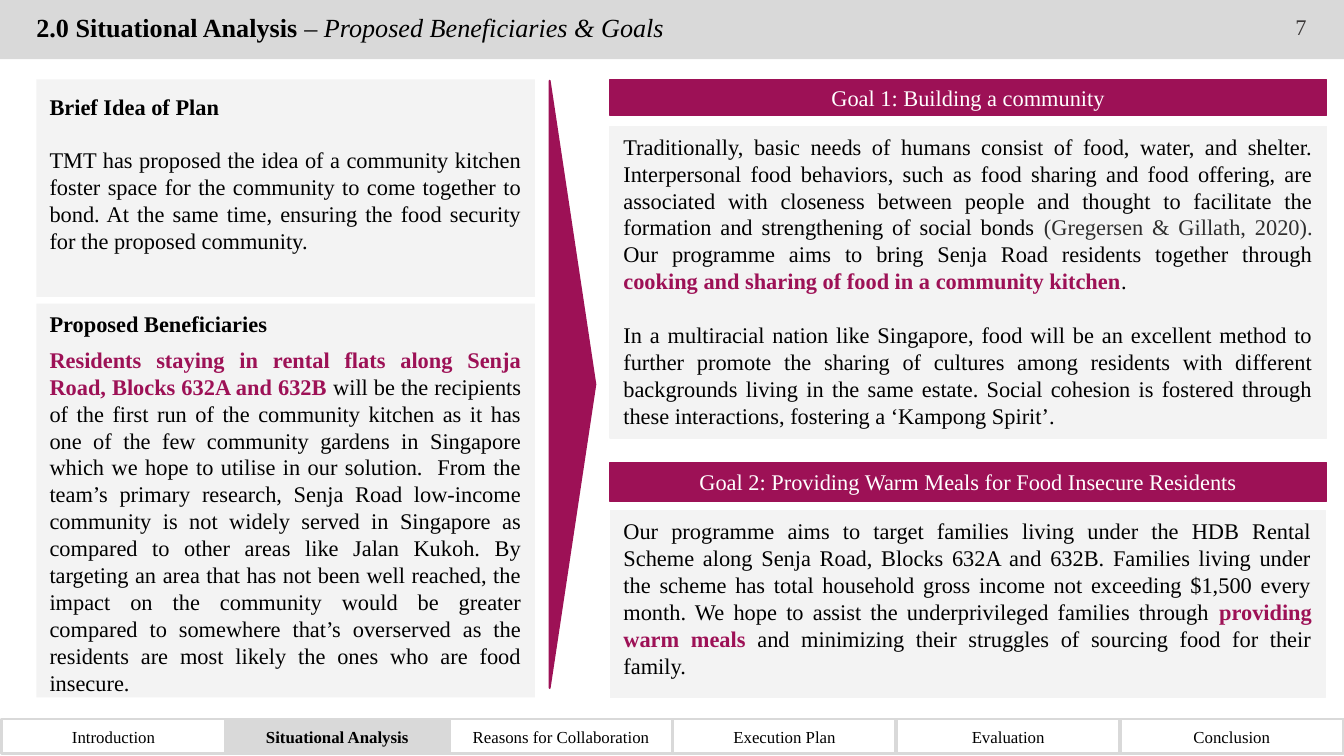
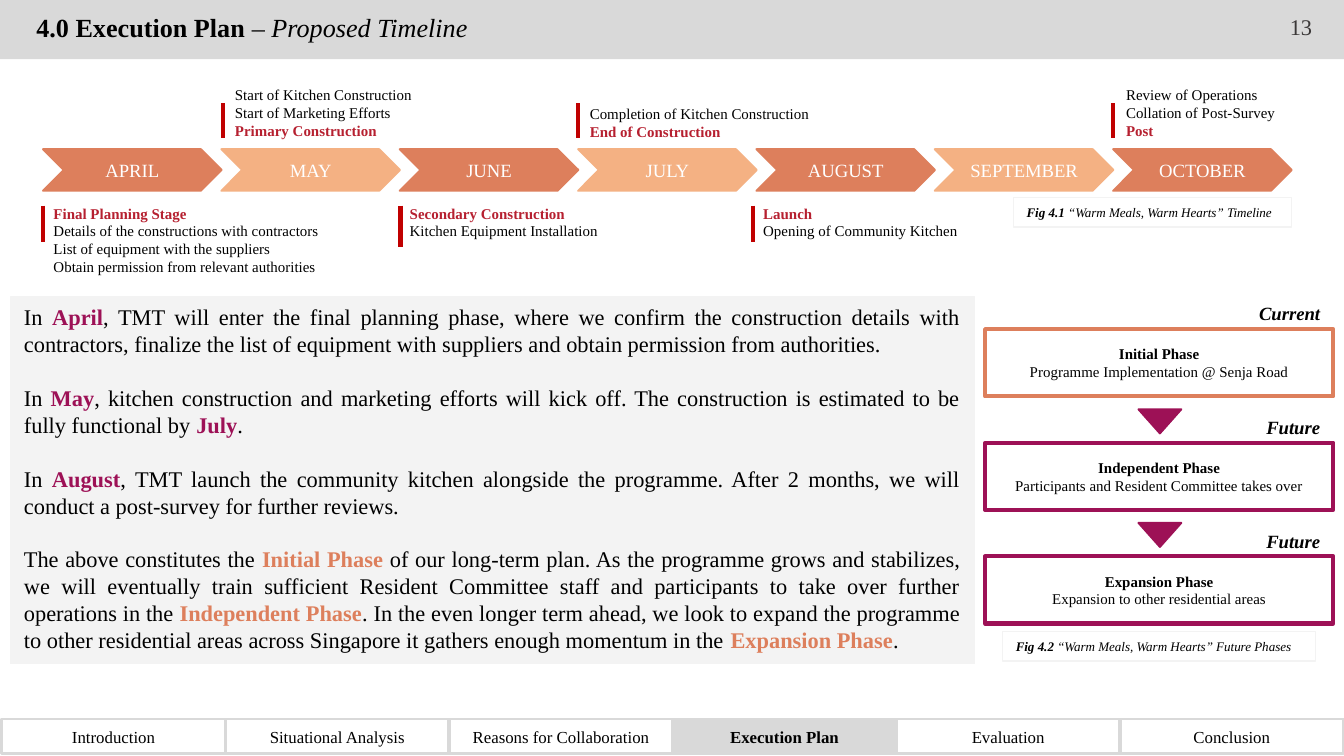
from dataclasses import dataclass
from typing import Any

from lxml.etree import SubElement
from pptx import Presentation
from pptx.dml.color import RGBColor
from pptx.enum.shapes import MSO_CONNECTOR, MSO_SHAPE
from pptx.enum.text import MSO_ANCHOR, MSO_AUTO_SIZE, PP_ALIGN
from pptx.oxml.ns import qn
from pptx.util import Inches, Pt

FONT = "Times New Roman"
INK, WHITE, GREY, PANEL = "000000", "FFFFFF", "D9D9D9", "F3F3F3"
PLUM, CORAL, PEACH = "9D1156", "DD7F5C", "F4B183"
RED, TICK, CITE, NUMBER = "B62030", "C00000", "2E2E2E", "3B3838"
LEFT, CENTER, RIGHT, JUSTIFY = PP_ALIGN.LEFT, PP_ALIGN.CENTER, PP_ALIGN.RIGHT, PP_ALIGN.JUSTIFY
TOP, MIDDLE = MSO_ANCHOR.TOP, MSO_ANCHOR.MIDDLE
COLS, ROWS = 100, 56.25
LINE_GAP = 14.4
SECTIONS = ["Introduction", "Situational Analysis", "Reasons for Collaboration",
            "Execution Plan", "Evaluation", "Conclusion"]


def rgb(value):
    """Turn a hex string into a colour."""
    return RGBColor.from_string(value)


def bold(text, color=INK):
    """Describe a bold run."""
    return text, "b", color


@dataclass
class Deck:
    """Hold the style, the grid and the current slide."""
    prs: Any
    s: Any = None

    def x(self, cols):
        """Convert grid columns to a length."""
        return round(self.prs.slide_width * cols / COLS)

    def y(self, rows):
        """Convert grid rows to a length."""
        return round(self.prs.slide_height * rows / ROWS)

    def area(self, at):
        """Convert left, top, width and height from the grid."""
        left, top, width, height = at
        return self.x(left), self.y(top), self.x(width), self.y(height)

    def fill_text(self, tf, paras, size, align=LEFT, anchor=TOP, color=INK, gap=0, inset=(1, 0.5)):
        """Fill a text frame with paragraphs made of styled runs."""
        tf.word_wrap = True
        tf.auto_size = MSO_AUTO_SIZE.NONE
        tf.vertical_anchor = anchor
        tf.margin_left = tf.margin_right = self.x(inset[0])
        tf.margin_top = tf.margin_bottom = self.y(inset[1])
        for i, runs in enumerate(paras):
            p = tf.add_paragraph() if i else tf.paragraphs[0]
            p.alignment = align
            p.space_before = Pt(gap if i else 0)
            for run in [runs] if isinstance(runs, (str, tuple)) else runs:
                text, style, hue = (run, "", color) if isinstance(run, str) else run
                r = p.add_run()
                r.text = text
                r.font.name, r.font.size = FONT, Pt(size)
                r.font.bold, r.font.italic = "b" in style, "i" in style
                r.font.color.rgb = rgb(hue)

    def shape(self, at, kind=MSO_SHAPE.RECTANGLE, fill=None, line=None, weight=0.75):
        """Draw a preset shape."""
        sp = self.s.shapes.add_shape(kind, *self.area(at))
        sp.shadow.inherit = False
        if fill:
            sp.fill.solid()
            sp.fill.fore_color.rgb = rgb(fill)
        else:
            sp.fill.background()
        if line:
            sp.line.color.rgb = rgb(line)
            sp.line.width = Pt(weight)
        else:
            sp.line.fill.background()
        return sp

    def text(self, at, paras, size, **style):
        """Place a text box."""
        sp = self.s.shapes.add_textbox(*self.area(at))
        self.fill_text(sp.text_frame, paras, size, **style)

    def panel(self, at, paras, gap=LINE_GAP, line=PANEL, **style):
        """Place a pale panel of justified text."""
        sp = self.shape(at, fill=PANEL, line=line)
        self.fill_text(sp.text_frame, paras, 12, align=JUSTIFY, gap=gap, **style)

    def goal(self, at, heading):
        """Place a goal heading bar."""
        sp = self.shape(at, fill=PLUM, line=PLUM)
        self.fill_text(sp.text_frame, [heading], 12, align=CENTER, anchor=MIDDLE, color=WHITE,
                       inset=(1, 0))

    def tick(self, x, top, height):
        """Draw a vertical timeline tick."""
        c = self.s.shapes.add_connector(MSO_CONNECTOR.STRAIGHT, self.x(x), self.y(top),
                                        self.x(x), self.y(top + height))
        c.line.color.rgb = rgb(TICK)
        c.line.width = Pt(2.25)
        SubElement(c._element.spPr, qn("a:effectLst"))

    def caption(self, at, label, text):
        """Place a framed figure caption."""
        sp = self.shape(at, line=PANEL)
        self.fill_text(sp.text_frame, [[(label, "bi", INK), (text, "i", INK)]], 7)

    def slide(self, title, number, section, width):
        """Start a slide with its header band, title, number and section bar."""
        self.s = self.prs.slides.add_slide(self.prs.slide_layouts[5])
        self.shape((-0.1, 0, 100.1, 4.4), fill=GREY)
        self.text((93.6, 0, 6.4, 4), [number], 12, align=CENTER, anchor=MIDDLE, color=NUMBER)
        sp = self.s.shapes.title
        self.s.shapes._spTree.append(sp._element)
        sp.left, sp.top, sp.width, sp.height = self.area((0, 0, width, 4.3))
        self.fill_text(sp.text_frame, [title], 14, anchor=MIDDLE)
        sp.text_frame.margin_left = self.x(2.7)
        sp.text_frame.paragraphs[0].line_spacing = 0.9
        for i, name in enumerate(SECTIONS):
            active = name == section
            sp = self.shape((0.1 + 16.64 * i, 53.5, 16.7, 2.6), fill=GREY if active else None,
                            line=GREY, weight=1.5)
            self.fill_text(sp.text_frame, [bold(name) if active else name], 9, align=CENTER,
                           anchor=MIDDLE)


def goals_slide(deck):
    """Build the beneficiaries and goals slide."""
    deck.slide([bold("2.0 Situational Analysis "), "– ", ("Proposed Beneficiaries & Goals", "i", INK)],
               "7", "Situational Analysis", 59.6)
    deck.panel((2.7, 5.9, 37.1, 16.2), [
        bold("Brief Idea of Plan"),
        "TMT has proposed the idea of a community kitchen foster space for the community to come "
        "together to bond. At the same time, ensuring the food security for the proposed community.",
    ], line=None, inset=(1, 1))
    deck.panel((2.7, 22.6, 37.1, 29.3), [
        bold("Proposed Beneficiaries"),
        [bold("Residents staying in rental flats along Senja Road, Blocks 632A and 632B", PLUM),
         " will be the recipients of the first run of the community kitchen as it has one of the few "
         "community gardens in Singapore which we hope to utilise in our solution.  From the team’s "
         "primary research, Senja Road low-income community is not widely served in Singapore as "
         "compared to other areas like Jalan Kukoh. By targeting an area that has not been well "
         "reached, the impact on the community would be greater compared to somewhere that’s "
         "overserved as the residents are most likely the ones who are food insecure."],
    ], gap=4.8, line=None)
    sp = deck.shape((40.9, 6, 3.4, 45.2), MSO_SHAPE.RIGHT_ARROW, PLUM, PLUM, 1)
    sp.adjustments[0], sp.adjustments[1] = 0.5, 1
    deck.panel((45.4, 9.4, 53.3, 23.2), [
        ["Traditionally, basic needs of humans consist of food, water, and shelter. Interpersonal food "
         "behaviors, such as food sharing and food offering, are associated with closeness between "
         "people and thought to facilitate the formation and strengthening of social bonds",
         (" (Gregersen & Gillath, 2020). ", "", CITE),
         "Our programme aims to bring Senja Road residents together through ",
         bold("cooking and sharing of food in a community kitchen", PLUM), "."],
        "In a multiracial nation like Singapore, food will be an excellent method to further promote "
        "the sharing of cultures among residents with different backgrounds living in the same estate. "
        "Social cohesion is fostered through these interactions, fostering a ‘Kampong Spirit’.",
    ])
    deck.goal((45.4, 5.9, 53.3, 2.7), "Goal 1: Building a community")
    deck.panel((45.4, 38, 53.2, 13.9), [
        ["Our programme aims to target families living under the HDB Rental Scheme along Senja Road, "
         "Blocks 632A and 632B. Families living under the scheme has total household gross income not "
         "exceeding $1,500 every month. We hope to assist the underprivileged families through ",
         bold("providing warm meals", PLUM),
         " and minimizing their struggles of sourcing food for their family."],
    ])
    deck.goal((45.4, 34.4, 53.3, 2.9), "Goal 2: Providing Warm Meals for Food Insecure Residents")


def timeline_slide(deck):
    """Build the proposed timeline slide."""
    deck.slide([bold("4.0 Execution Plan "), ("– Proposed Timeline", "i", INK)],
               "13", "Execution Plan", 41.1)
    deck.panel((0.8, 22.1, 71.7, 27.3), [
        ["In ", bold("April", PLUM),
         ", TMT will enter the final planning phase, where we confirm the construction details with "
         "contractors, finalize the list of equipment with suppliers and obtain permission from "
         "authorities."],
        ["In ", bold("May", PLUM),
         ", kitchen construction and marketing efforts will kick off. The construction is estimated "
         "to be fully functional by ", bold("July", PLUM), "."],
        ["In ", bold("August", PLUM),
         ", TMT launch the community kitchen alongside the programme. After 2 months, we will conduct "
         "a post-survey for further reviews."],
        ["The above constitutes the ", bold("Initial Phase", CORAL),
         " of our long-term plan. As the programme grows and stabilizes, we will eventually train "
         "sufficient Resident Committee staff and participants to take over further operations in the ",
         bold("Independent Phase", CORAL),
         ". In the even longer term ahead, we look to expand the programme to other residential areas "
         "across Singapore it gathers enough momentum in the ", bold("Expansion Phase", CORAL), "."],
    ])

    months = ["APRIL", "MAY", "JUNE", "JULY", "AUGUST", "SEPTEMBER", "OCTOBER"]
    for i, month in enumerate(months):
        hue = PEACH if i % 2 else CORAL
        sp = deck.shape((3.2 + 13.27 * i, 11.1, 13.3, 3.1), MSO_SHAPE.CHEVRON, hue, hue, 1)
        deck.fill_text(sp.text_frame, [month], 10, align=CENTER, anchor=MIDDLE, color=WHITE,
                       inset=(0, 0))

    milestones = [
        (3.2, 15.3, 2.7, (3, 14.7, 24.6, 6.4), [
            bold("Final Planning Stage", RED), "Details of the constructions with contractors",
            "List of equipment with the suppliers", "Obtain permission from relevant authorities"]),
        (16.6, 7.7, 2.6, (16.5, 5.9, 18.3, 5), [
            "Start of Kitchen Construction", "Start of Marketing Efforts",
            bold("Primary Construction", RED)]),
        (29.8, 15.3, 3.1, (29.5, 14.7, 20.1, 3.7), [
            bold("Secondary Construction", RED), "Kitchen Equipment Installation"]),
        (43, 7.7, 2.6, (42.9, 7.3, 21.6, 3.7), [
            "Completion of Kitchen Construction", bold("End of Construction", RED)]),
        (56, 15.3, 2.7, (55.8, 14.7, 20.1, 3.7), [
            bold("Launch", RED), "Opening of Community Kitchen"]),
        (82.8, 7.7, 2.6, (82.8, 5.9, 15.1, 5), [
            "Review of Operations", "Collation of Post-Survey", bold("Post", RED)]),
    ]
    for x, top, height, at, lines in milestones:
        deck.tick(x, top, height)
        deck.text(at, lines, 8)

    phases = [
        ("Current", "Initial Phase", "Programme Implementation @ Senja Road", CORAL),
        ("Future", "Independent Phase", "Participants and Resident Committee takes over", PLUM),
        ("Future", "Expansion Phase", "Expansion to other residential areas", PLUM),
    ]
    for i, (when, name, detail, hue) in enumerate(phases):
        drop = 8.45 * i
        sp = deck.shape((73.3, 24.5 + drop, 25.9, 5), line=hue, weight=2.25)
        deck.fill_text(sp.text_frame, [bold(name), detail], 8, align=CENTER, anchor=MIDDLE)
        deck.text((84.7, 22 + drop, 14.5, 2.7), [(when, "bi", INK)], 10, align=RIGHT)
        if i:
            sp = deck.shape((84.7, 22 + drop, 3.2, 1.8), MSO_SHAPE.ISOSCELES_TRIANGLE, PLUM, PLUM, 1)
            sp.rotation = 180

    deck.caption((75.4, 14.7, 20.7, 2.2), "Fig 4.1", " “Warm Meals, Warm Hearts” Timeline")
    deck.caption((74.6, 47, 23.3, 2.2), "Fig 4.2", " “Warm Meals, Warm Hearts” Future Phases")


def main():
    """Build and save the deck."""
    prs = Presentation()
    prs.slide_width, prs.slide_height = Inches(10), Inches(5.625)
    deck = Deck(prs)
    goals_slide(deck)
    timeline_slide(deck)
    prs.save("out.pptx")


if __name__ == "__main__":
    main()
